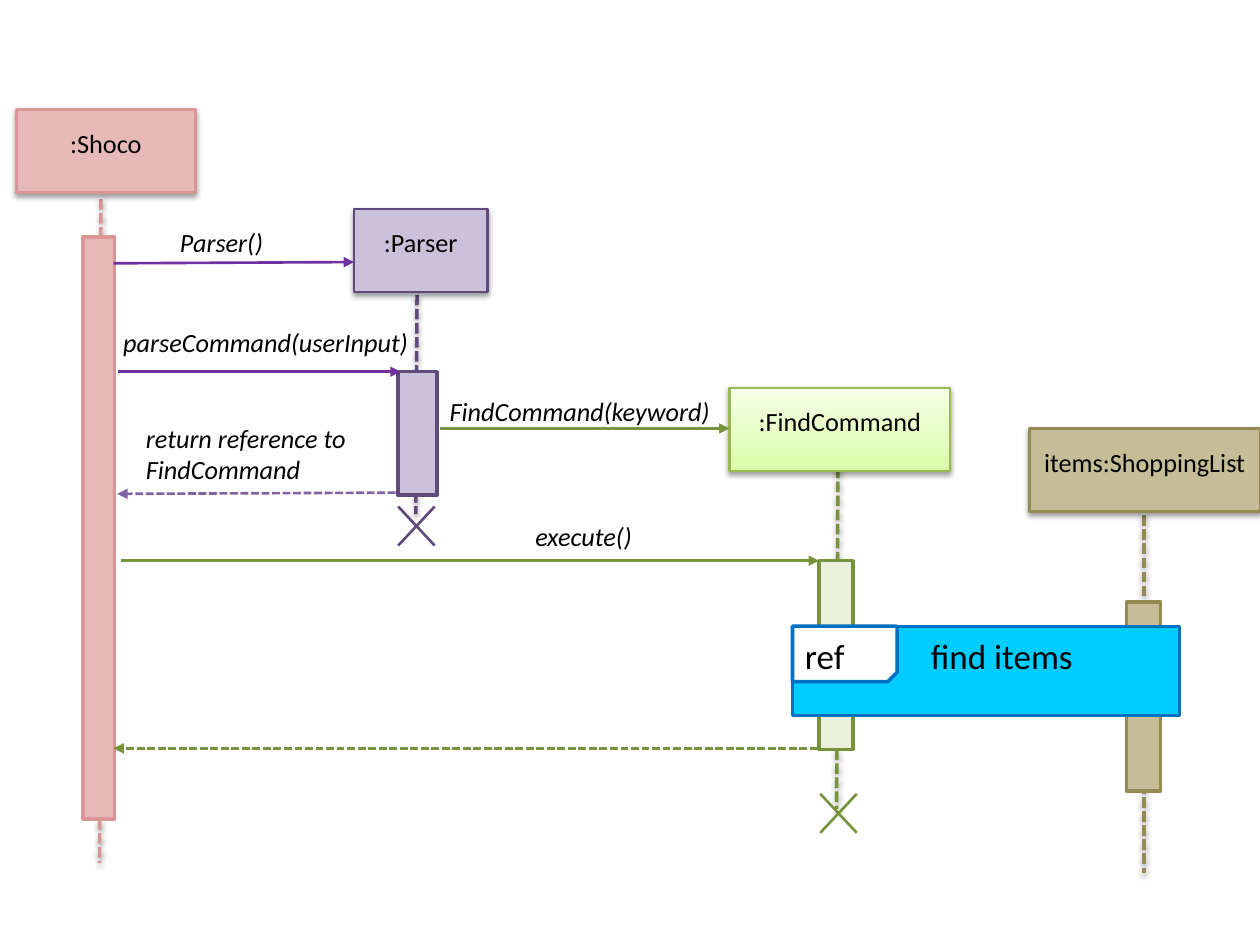
from pptx import Presentation
from pptx.dml.color import RGBColor
from pptx.enum.dml import MSO_LINE
from pptx.enum.shapes import MSO_CONNECTOR, MSO_SHAPE
from pptx.enum.text import MSO_ANCHOR, PP_ALIGN
from pptx.oxml.ns import qn
from pptx.util import Inches, Pt
from lxml.etree import SubElement


def color(code):
    return RGBColor.from_string(code)


class Diagram:
    font = "Calibri"
    ink = "000000"
    size = 15

    def __init__(self, slide):
        self.shapes = slide.shapes

    def shade(self, effects):
        outer = SubElement(effects, qn("a:outerShdw"), blurRad="40000",
                           dist="20000", dir="5400000", rotWithShape="0")
        black = SubElement(outer, qn("a:srgbClr"), val=self.ink)
        SubElement(black, qn("a:alpha"), val="38000")

    def letter(self, frame, words, size, italic=False, align=PP_ALIGN.LEFT):
        frame.word_wrap = True
        frame.text = words
        para = frame.paragraphs[0]
        para.alignment = align
        para.font.name = self.font
        para.font.size = Pt(size)
        para.font.italic = italic
        para.font.color.rgb = color(self.ink)

    def box(self, x, y, w, h, fill, edge, width=2, shadow=False, kind=MSO_SHAPE.RECTANGLE):
        shape = self.shapes.add_shape(kind, Inches(x), Inches(y), Inches(w), Inches(h))
        if isinstance(fill, tuple):
            shape.fill.gradient()
            shape.fill.gradient_angle = 90
            for stop, code, place in zip(shape.fill.gradient_stops, fill, (0, 1)):
                stop.color.rgb = color(code)
                stop.position = place
        else:
            shape.fill.solid()
            shape.fill.fore_color.rgb = color(fill)
        shape.line.color.rgb = color(edge)
        shape.line.width = Pt(width)
        shape.shadow.inherit = False
        if shadow:
            self.shade(shape._element.spPr.find(qn("a:effectLst")))
        return shape

    def head(self, words, x, y, w, fill, edge):
        frame = self.box(x, y, w, 0.66, fill, edge, 1.5, True).text_frame
        frame.margin_top, frame.margin_bottom = Inches(0.14), Inches(0.2)
        frame.vertical_anchor = MSO_ANCHOR.TOP
        self.letter(frame, words, self.size, align=PP_ALIGN.CENTER)

    def line(self, start, end, edge, width=1.5, dash=False, arrow=False, shadow=False):
        ends = [Inches(v) for v in (*start, *end)]
        link = self.shapes.add_connector(MSO_CONNECTOR.STRAIGHT, *ends)
        link.line.color.rgb = color(edge)
        link.line.width = Pt(width)
        if dash:
            link.line.dash_style = MSO_LINE.SQUARE_DOT
        if arrow:
            SubElement(link._element.spPr.find(qn("a:ln")), qn("a:tailEnd"), type="triangle")
        effects = SubElement(link._element.spPr, qn("a:effectLst"))
        if shadow:
            self.shade(effects)

    def cross(self, x, y, edge):
        w, h = 0.29, 0.31
        self.line((x, y), (x + w, y + h), edge)
        self.line((x + w, y), (x, y + h), edge)

    def label(self, words, x, y, w, h=0.35, size=size, italic=True):
        area = self.shapes.add_textbox(Inches(x), Inches(y), Inches(w), Inches(h))
        self.letter(area.text_frame, words, size, italic)


deck = Presentation()
deck.slide_width, deck.slide_height = Inches(10), Inches(7.5)
art = Diagram(deck.slides.add_slide(deck.slide_layouts[6]))

pink, plum, green, olive = "D99694", "604A7B", "77933C", "948A54"
purple, blue = "7030A0", "0070C0"

lives = [
    ((0.8, 1.58), (0.79, 6.85), pink),
    ((3.31, 2.34), (3.3, 4.08), plum),
    ((6.65, 3.71), (6.64, 6.42), green),
    ((9.08, 4.09), (9.08, 6.93), olive),
]
for start, end, edge in lives:
    art.line(start, end, edge, 2, dash=True, shadow=True)

heads = [
    (":Shoco", 0.13, 0.87, 1.42, "E6B9B8", pink),
    (":Parser", 2.81, 1.66, 1.06, "CCC1DA", plum),
    (":FindCommand", 5.79, 3.08, 1.75, ("DAFDA7", "F5FFE7"), "98B955"),
    ("items:ShoppingList", 8.17, 3.4, 1.83, "C4BD97", olive),
]
for item in heads:
    art.head(*item)

bars = [
    (0.66, 1.88, 0.25, 4.62, "E6B9B8", pink),
    (3.16, 2.95, 0.31, 0.98, "CCC1DA", plum),
    (6.5, 4.45, 0.27, 1.5, "EBF1DE", green),
    (8.94, 4.78, 0.27, 1.5, "C4BD97", olive),
]
for bar in bars:
    art.box(*bar)

calls = [
    ((0.9, 2.09), (2.81, 2.08), purple, False),
    ((0.94, 2.95), (3.18, 2.95), purple, False),
    ((3.49, 3.4), (5.79, 3.4), green, False),
    ((3.14, 3.91), (0.93, 3.92), "8064A2", True),
    ((0.96, 4.45), (6.5, 4.45), green, False),
    ((6.49, 5.94), (0.9, 5.94), green, True),
]
for start, end, edge, dash in calls:
    art.line(start, end, edge, dash=dash, arrow=True)

labels = [
    ("Parser()", 1.33, 1.75, 1.29),
    ("parseCommand(userInput)", 0.88, 2.54, 2.73),
    ("FindCommand(keyword)", 3.47, 3.09, 2.28),
    ("return reference to FindCommand", 1.06, 3.3, 1.87, 0.61),
    ("execute()", 4.15, 4.08, 0.97),
]
for item in labels:
    art.label(*item)

art.cross(3.16, 4.02, plum)
art.cross(6.51, 6.3, green)

art.box(6.29, 4.97, 3.07, 0.71, "00CCFF", blue, 1.5)
tab = art.box(6.29, 4.97, 0.83, 0.44, "FFFFFF", blue, kind=MSO_SHAPE.SNIP_1_RECTANGLE)
tab._element.spPr.find(qn("a:xfrm")).set("flipV", "1")
for words, x, w in (("ref", 6.29, 0.83), ("find items", 7.29, 2)):
    art.label(words, x, 4.99, w, 0.42, 20, False)

deck.save("out.pptx")
